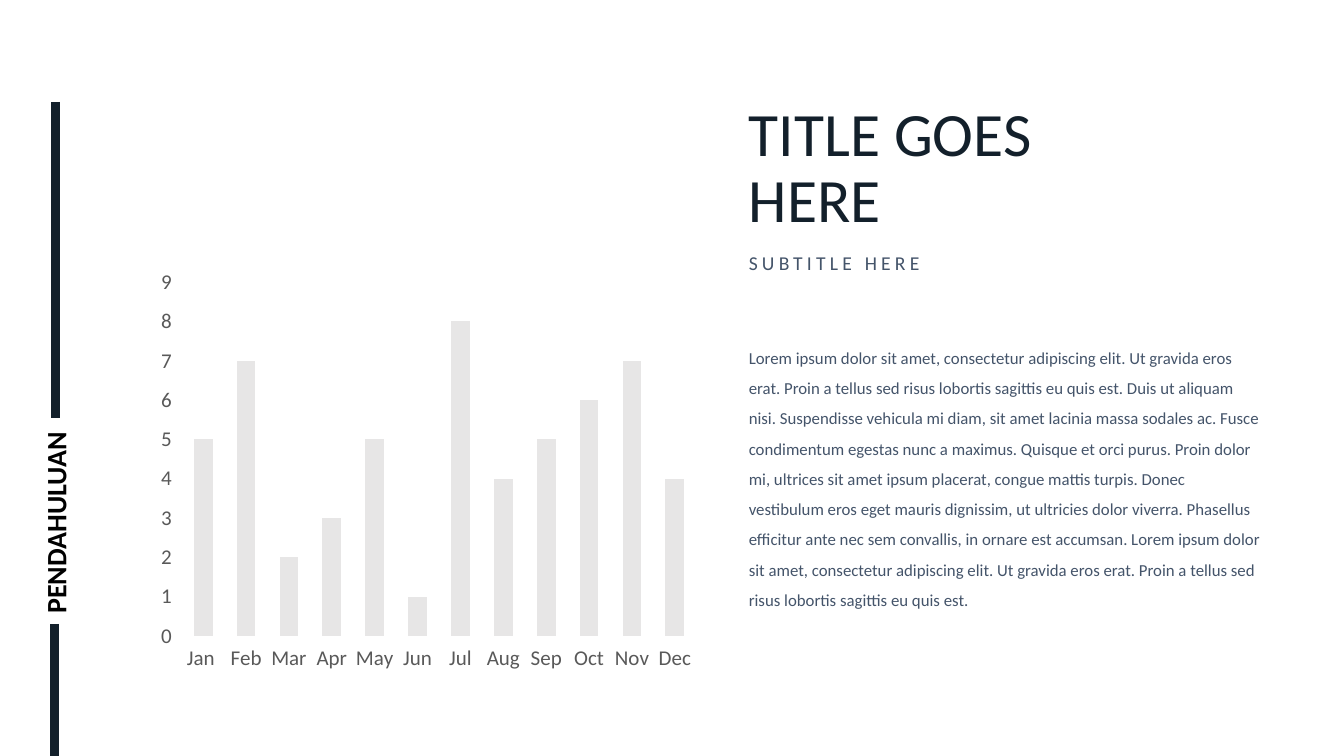
from dataclasses import dataclass

from lxml.etree import SubElement as Sub
from pptx import Presentation
from pptx.chart.data import CategoryChartData as Data
from pptx.dml.color import RGBColor as Rgb
from pptx.enum.chart import XL_CHART_TYPE as Kind, XL_TICK_MARK as Tick
from pptx.enum.shapes import MSO_CONNECTOR as Link
from pptx.enum.text import MSO_ANCHOR as Anchor, MSO_AUTO_SIZE as Fit, PP_ALIGN as Align
from pptx.oxml.ns import qn
from pptx.util import Cm, Pt

FONT = "Calibri"
HUES = {
    "ink": "13202B",
    "slate": "44546A",
    "black": "000000",
    "axis": "595959",
    "bar": "E7E6E6",
}
WIDTH, HEIGHT = 33.87, 19.05
LEFT, SPAN = 18.87, 13.23
LOREM = (
    "Lorem ipsum dolor sit amet, consectetur adipiscing elit. Ut gravida eros erat. "
    "Proin a tellus sed risus lobortis sagittis eu quis est. Duis ut aliquam nisi. "
    "Suspendisse vehicula mi diam, sit amet lacinia massa sodales ac. Fusce condimentum "
    "egestas nunc a maximus. Quisque et orci purus. Proin dolor mi, ultrices sit amet "
    "ipsum placerat, congue mattis turpis. Donec vestibulum eros eget mauris dignissim, "
    "ut ultricies dolor viverra. Phasellus efficitur ante nec sem convallis, in ornare "
    "est accumsan. Lorem ipsum dolor sit amet, consectetur adipiscing elit. Ut gravida "
    "eros erat. Proin a tellus sed risus lobortis sagittis eu quis est."
)
SALES = {
    "Jan ": 5, "Feb": 7, "Mar": 2, "Apr": 3, "May": 5, "Jun": 1,
    "Jul": 8, "Aug": 4, "Sep": 5, "Oct": 6, "Nov": 7, "Dec": 4,
}


@dataclass(frozen=True)
class Block:
    slot: int
    lines: tuple[str, ...]
    top: float
    height: float
    size: int
    hue: str
    lead: float
    before: int = 0
    track: int = 0
    anchor: Anchor = Anchor.TOP


@dataclass(frozen=True)
class Rule:
    x: float
    top: float
    end: float


BLOCKS = (
    Block(0, ("TITLE GOES", "HERE"), 2.34, 3.73, 44, "ink", 0.9, anchor=Anchor.BOTTOM),
    Block(1, ("SUBTITLE HERE",), 6.25, 1.68, 14, "slate", 0.9, 10, 300),
    Block(2, (LOREM,), 8.38, 8.61, 12, "slate", 1.5, 10),
)
RULES = (Rule(1.4, 2.57, 10.54), Rule(1.37, 15.72, HEIGHT))


def tint(hue: str) -> Rgb:
    return Rgb.from_string(HUES[hue])


def style(font, size: int, hue: str, bold: bool = False) -> None:
    font.name = FONT
    font.size = Pt(size)
    font.bold = bold
    font.color.rgb = tint(hue)


def draw_block(slide, block: Block) -> None:
    shape = slide.placeholders[block.slot]
    shape.left, shape.top = Cm(LEFT), Cm(block.top)
    shape.width, shape.height = Cm(SPAN), Cm(block.height)
    frame = shape.text_frame
    frame.word_wrap = True
    frame.auto_size = Fit.NONE
    frame.vertical_anchor = block.anchor
    frame.margin_left = 0
    para = frame.paragraphs[0]
    para.alignment = Align.LEFT
    para.line_spacing = block.lead
    para.space_before = Pt(block.before)
    props = para._p.get_or_add_pPr()
    props.set("marL", "0")
    props.set("indent", "0")
    Sub(props, qn("a:buNone"))
    for step, line in enumerate(block.lines):
        if step:
            para.add_line_break()
        run = para.add_run()
        run.text = line
        style(run.font, block.size, block.hue)
        if block.track:
            run._r.get_or_add_rPr().set("spc", str(block.track))


def draw_rule(slide, rule: Rule) -> None:
    line = slide.shapes.add_connector(
        Link.STRAIGHT, Cm(rule.x), Cm(rule.top), Cm(rule.x), Cm(rule.end)
    )
    line.line.color.rgb = tint("ink")
    line.line.width = Pt(6)
    Sub(line._element.spPr, qn("a:effectLst"))


def draw_label(slide) -> None:
    box = slide.shapes.add_textbox(Cm(-2.03), Cm(12.62), Cm(6.86), Cm(1.12))
    box.rotation = 270
    frame = box.text_frame
    frame.word_wrap = True
    frame.auto_size = Fit.SHAPE_TO_FIT_TEXT
    para = frame.paragraphs[0]
    para.alignment = Align.CENTER
    run = para.add_run()
    run.text = "PENDAHULUAN"
    style(run.font, 20, "black", True)


def draw_chart(slide) -> None:
    data = Data()
    data.categories = list(SALES)
    data.add_series("Series 1", list(SALES.values()))
    chart = slide.shapes.add_chart(
        Kind.COLUMN_CLUSTERED, Cm(3.78), Cm(6.58), Cm(14.05), Cm(10.54), data
    ).chart
    chart.has_legend = False
    chart.has_title = False
    style(chart.font, 15, "black")
    for axis in (chart.category_axis, chart.value_axis):
        axis.has_major_gridlines = False
        axis.major_tick_mark = Tick.OUTSIDE
        axis.format.line.fill.background()
        style(axis.tick_labels.font, 15, "axis")
    scale = chart.value_axis
    scale.minimum_scale, scale.maximum_scale, scale.major_unit = 0, 9, 1
    plot = chart.plots[0]
    plot.gap_width = 129
    plot.vary_by_categories = False
    fill = plot.series[0].format.fill
    fill.solid()
    fill.fore_color.rgb = tint("bar")


def main() -> None:
    deck = Presentation()
    deck.slide_width, deck.slide_height = Cm(WIDTH), Cm(HEIGHT)
    slide = deck.slides.add_slide(deck.slide_layouts[3])
    draw_chart(slide)
    for block in BLOCKS:
        draw_block(slide, block)
    for rule in RULES:
        draw_rule(slide, rule)
    draw_label(slide)
    deck.save("out.pptx")


if __name__ == "__main__":
    main()
